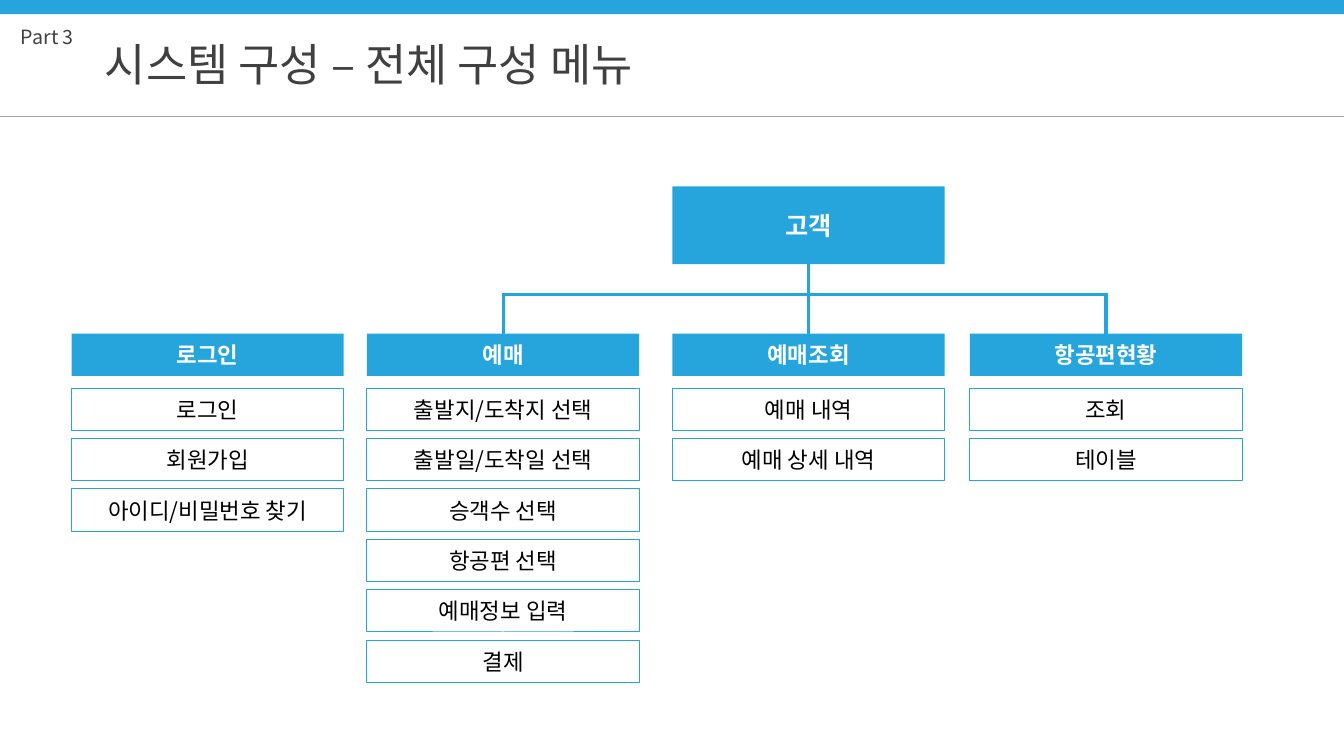
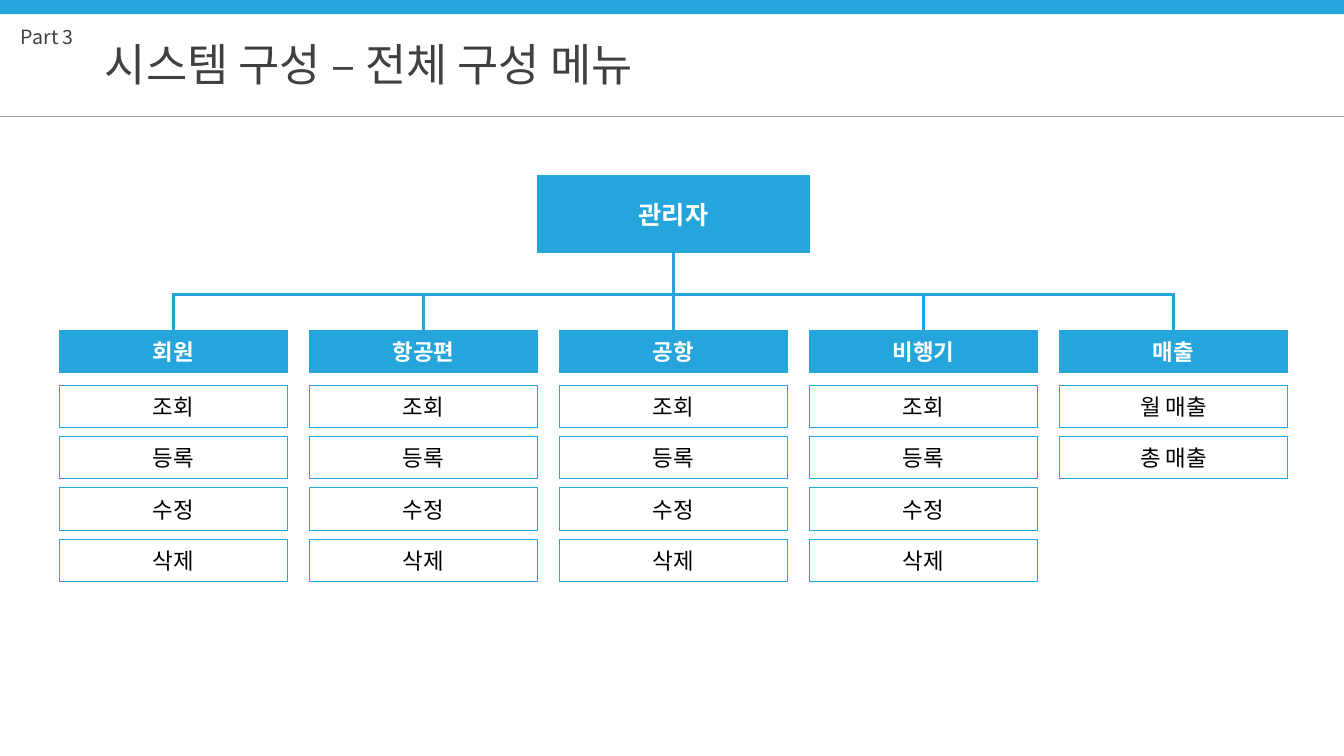
from lxml.etree import SubElement
from pptx import Presentation
from pptx.dml.color import RGBColor
from pptx.enum.shapes import MSO_CONNECTOR, MSO_SHAPE
from pptx.enum.text import MSO_ANCHOR, MSO_AUTO_SIZE, PP_ALIGN
from pptx.oxml.ns import qn
from pptx.util import Inches, Pt

FONT = "Noto Sans CJK KR"
BLUE, GRAY, DARK, BLACK, WHITE = "26A5DC", "A5A5A5", "404040", "000000", "FFFFFF"
SLIDE_W, SLIDE_H = 13.33, 7.5
ROOT_W, ROOT_H = 2.7, 0.77
ROW_H = 0.42
BUS_Y = 2.92
BUS_PT = 2.25


def color(hex_value):
    return RGBColor.from_string(hex_value)


def add_text(frame, text, size, hex_value, bold=False, align=PP_ALIGN.LEFT):
    paragraph = frame.paragraphs[0]
    paragraph.alignment = align
    run = paragraph.add_run()
    run.text = text
    run.font.size = Pt(size)
    run.font.bold = bold
    run.font.color.rgb = color(hex_value)
    run.font.name = FONT
    # Hangul takes the East Asian typeface
    SubElement(run.font._element, qn("a:ea")).set("typeface", FONT)


def add_box(slide, left, top, width, height, fill=None, outline=None):
    box = slide.shapes.add_shape(MSO_SHAPE.RECTANGLE, Inches(left), Inches(top),
                                 Inches(width), Inches(height))
    box.shadow.inherit = False
    if fill:
        box.fill.solid()
        box.fill.fore_color.rgb = color(fill)
    else:
        box.fill.background()
    if outline:
        box.line.color.rgb = color(outline)
        box.line.width = Pt(0.75)
    else:
        box.line.fill.background()
    return box


def add_label_box(slide, text, left, top, width, height, size=16,
                  fill=None, outline=None):
    box = add_box(slide, left, top, width, height, fill, outline)
    box.text_frame.word_wrap = True
    box.text_frame.vertical_anchor = MSO_ANCHOR.MIDDLE
    add_text(box.text_frame, text, size, WHITE if fill else BLACK,
             bold=bool(fill), align=PP_ALIGN.CENTER)
    return box


def add_line(slide, x1, y1, x2, y2, hex_value=BLUE, weight=BUS_PT):
    line = slide.shapes.add_connector(MSO_CONNECTOR.STRAIGHT, Inches(x1), Inches(y1),
                                      Inches(x2), Inches(y2))
    line.line.color.rgb = color(hex_value)
    line.line.width = Pt(weight)
    SubElement(line._element.spPr, qn("a:effectLst"))
    return line


def add_page(prs, title_text, part_text):
    """Slide with the top band, header rule, title and part label."""
    slide = prs.slides.add_slide(prs.slide_layouts[5])
    add_box(slide, 0, 0, SLIDE_W, 0.14, BLUE)
    add_line(slide, 0, 1.15, SLIDE_W, 1.15, GRAY, 0.5)

    title = slide.shapes.title
    title.left, title.top = Inches(0.94), Inches(0.31)
    title.width, title.height = Inches(5.66), Inches(0.64)
    part = slide.shapes.add_textbox(Inches(0.11), Inches(0.2), Inches(1.89), Inches(0.34))
    for label, text, size, wrap in ((title, title_text, 32, False),
                                    (part, part_text, 14, True)):
        frame = label.text_frame
        frame.word_wrap = wrap
        frame.auto_size = MSO_AUTO_SIZE.SHAPE_TO_FIT_TEXT
        frame.vertical_anchor = MSO_ANCHOR.TOP
        add_text(frame, text, size, DARK)
    return slide


def add_menu_column(slide, left, top, width, heading, items, pitch, outline):
    """Heading with its menu items stacked below; returns the heading box."""
    heading_box = add_label_box(slide, heading, left, top, width, ROW_H,
                                fill=BLUE, outline=outline)
    for row, item in enumerate(items):
        add_label_box(slide, item, left, top + 0.54 + row * pitch, width, ROW_H,
                      outline=BLUE)
    return heading_box


def add_menu_tree(slide, root_text, root_top, trunk, lefts, top, width, pitch,
                  menus, linked, outline=None):
    """Root centred over the trunk column, joined to the linked columns."""
    centers = [left + width / 2 for left in lefts]
    headings = [add_menu_column(slide, left, top, width, heading, items, pitch, outline)
                for left, (heading, items) in zip(lefts, menus)]
    root = add_label_box(slide, root_text, centers[trunk] - ROOT_W / 2, root_top,
                         ROOT_W, ROOT_H, size=18, fill=BLUE, outline=outline)

    # Horizontal bus, lengthened by half a line width to square the corners
    overhang = BUS_PT / 72 / 2
    add_line(slide, centers[linked[0]] - overhang, BUS_Y,
             centers[linked[-1]] + overhang, BUS_Y)
    for column in linked:
        center = centers[column]
        drop = add_line(slide, center, BUS_Y, center, top)
        if column == trunk:
            drop.begin_connect(root, 2)
        drop.end_connect(headings[column], 0)


CUSTOMER_MENUS = [
    ("로그인", ["로그인", "회원가입", "아이디/비밀번호 찾기"]),
    ("예매", ["출발지/도착지 선택", "출발일/도착일 선택", "승객수 선택",
            "항공편 선택", "예매정보 입력", "결제"]),
    ("예매조회", ["예매 내역", "예매 상세 내역"]),
    ("항공편현황", ["조회", "테이블"]),
]
RECORD_ACTIONS = ["조회", "등록", "수정", "삭제"]
ADMIN_MENUS = [(name, RECORD_ACTIONS) for name in ("회원", "항공편", "공항", "비행기")]
ADMIN_MENUS.append(("매출", ["월 매출", "총 매출"]))


def main():
    prs = Presentation()
    prs.slide_width, prs.slide_height = Inches(SLIDE_W), Inches(SLIDE_H)
    heading = ("시스템 구성 – 전체 구성 메뉴", "Part 3")

    # Customer menu: login stands apart from the tree
    add_menu_tree(add_page(prs, *heading), "고객", root_top=1.85, trunk=2,
                  lefts=[0.71, 3.64, 6.67, 9.62], top=3.31, width=2.7, pitch=0.5,
                  menus=CUSTOMER_MENUS, linked=[1, 2, 3])

    # Administrator menu
    add_menu_tree(add_page(prs, *heading), "관리자", root_top=1.74, trunk=2,
                  lefts=[0.59 + 2.48 * column for column in range(5)],
                  top=3.28, width=2.26, pitch=0.51,
                  menus=ADMIN_MENUS, linked=range(5), outline=BLUE)

    prs.save("out.pptx")


if __name__ == "__main__":
    main()
